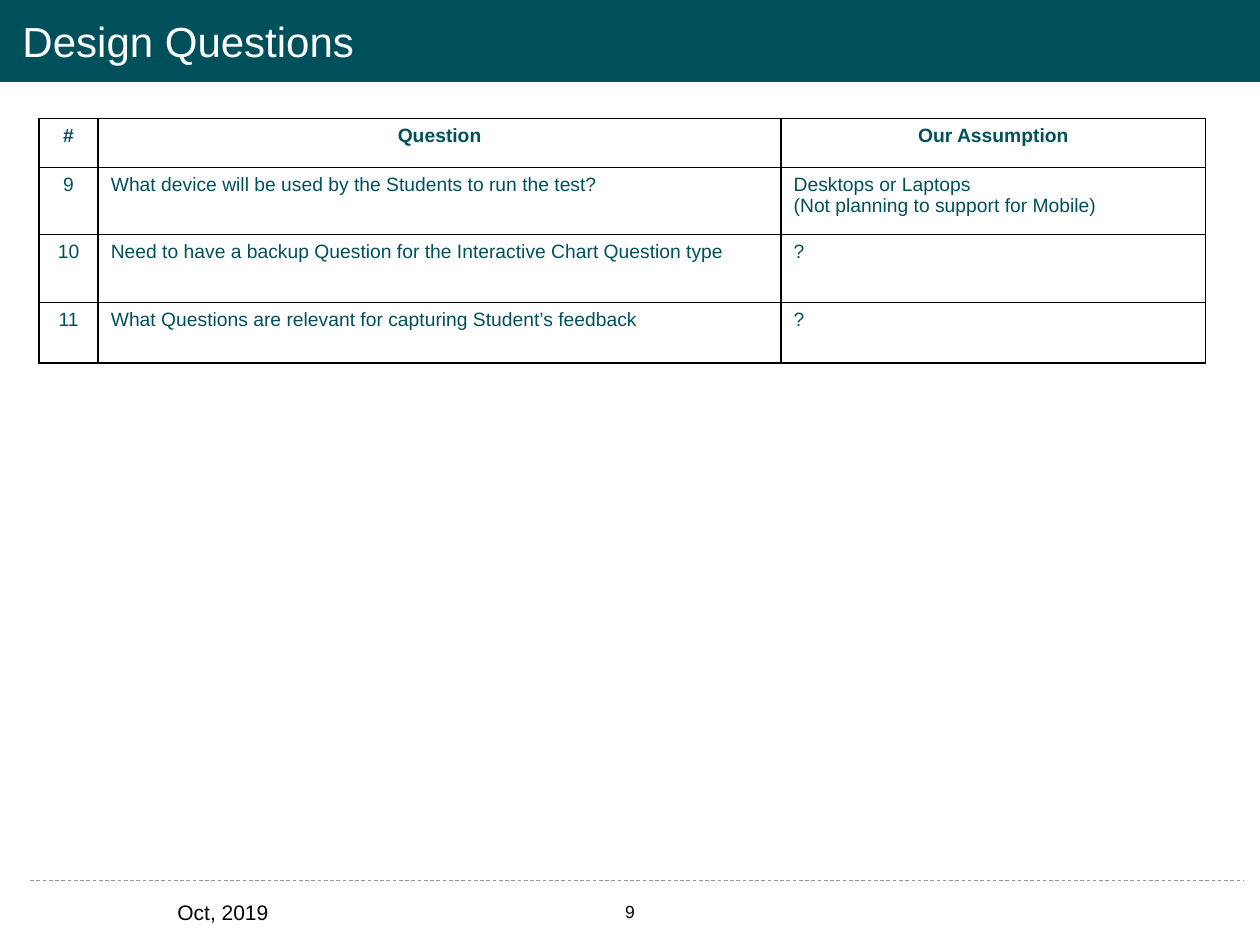
from lxml.etree import SubElement
from pptx import Presentation
from pptx.dml.color import RGBColor
from pptx.enum.dml import MSO_LINE
from pptx.enum.shapes import MSO_CONNECTOR, MSO_SHAPE
from pptx.enum.text import MSO_ANCHOR, PP_ALIGN
from pptx.oxml.ns import qn
from pptx.util import Inches, Pt

# Content
TITLE = "Design Questions"
DATE = "Oct, 2019"
PAGE_NUMBER = "9"
ROWS = [
    ("#", "Question", "Our Assumption"),
    ("9", "What device will be used by the Students to run the test?",
     "Desktops or Laptops\n(Not planning to support for Mobile)"),
    ("10", "Need to have a backup Question for the Interactive Chart Question type", "?"),
    ("11", "What Questions are relevant for capturing Student’s feedback", "?"),
]

# Style and grid, in inches
COLORS = {"teal": "00505C", "black": "000000", "white": "FFFFFF", "gray": "969696"}
FONT = "Arial"
WIDTH, HEIGHT = 10, 7.5
TABLE_LEFT, TABLE_TOP = 0.31, 0.94
COLUMN_WIDTHS = [0.47, 5.42, 3.37]
ROW_HEIGHTS = [0.39, 0.53, 0.54, 0.48]


def color(name):
    return RGBColor.from_string(COLORS[name])


def style(paragraph, size, color_name, bold=False, align=PP_ALIGN.LEFT):
    paragraph.alignment = align
    font = paragraph.font
    font.name, font.size, font.bold = FONT, Pt(size), bold
    font.color.rgb = color(color_name)


def add_text(page, text, area, size, color_name, anchor=MSO_ANCHOR.MIDDLE,
             align=PP_ALIGN.LEFT):
    box = page.shapes.add_textbox(*map(Inches, area))
    frame = box.text_frame
    frame.word_wrap = True
    frame.vertical_anchor = anchor
    frame.text = text
    style(frame.paragraphs[0], size, color_name, align=align)
    return frame


def add_borders(cell):
    properties = cell._tc.get_or_add_tcPr()
    for position, side in enumerate(("lnL", "lnR", "lnT", "lnB")):
        line = properties.makeelement(qn(f"a:{side}"), {"w": str(Pt(1))})
        fill = SubElement(line, qn("a:solidFill"))
        SubElement(fill, qn("a:srgbClr"), val=COLORS["black"])
        properties.insert(position, line)


def add_frame(page):
    # Header band
    band = page.shapes.add_shape(MSO_SHAPE.RECTANGLE, 0, 0, Inches(WIDTH), Inches(0.65))
    band.shadow.inherit = False
    band.fill.solid()
    band.fill.fore_color.rgb = color("teal")
    band.line.fill.background()

    # Footer rule
    rule = page.shapes.add_connector(
        MSO_CONNECTOR.STRAIGHT, *map(Inches, (0.24, 6.99, 9.87, 6.99)))
    rule.line.color.rgb = color("gray")
    rule.line.width = Pt(0.5)
    rule.line.dash_style = MSO_LINE.DASH
    SubElement(rule._element.spPr, qn("a:effectLst"))

    # Footer texts
    number = add_text(page, PAGE_NUMBER, (3.72, 7.07, 2.56, 0.37), 10, "black",
                      MSO_ANCHOR.TOP, PP_ALIGN.CENTER)
    number.margin_top = number.margin_bottom = Inches(0.1)
    date = add_text(page, DATE, (1.31, 6.95, 2.25, 0.61), 12, "black").paragraphs[0]
    date.line_spacing, date.space_before = 0.9, Pt(7.5)

    # Title
    title = add_text(page, TITLE, (0.08, 0.02, 9.48, 0.65), 24, "white").paragraphs[0]
    title.line_spacing, title.space_before, title.space_after = 0.9, Pt(3), Pt(6)


def add_questions(page):
    table = page.shapes.add_table(
        len(ROWS), len(COLUMN_WIDTHS), Inches(TABLE_LEFT), Inches(TABLE_TOP),
        Inches(sum(COLUMN_WIDTHS)), Inches(sum(ROW_HEIGHTS))).table
    table.horz_banding = False
    for column, width in zip(table.columns, COLUMN_WIDTHS):
        column.width = Inches(width)
    for row, height, texts in zip(table.rows, ROW_HEIGHTS, ROWS):
        row.height = Inches(height)
        header = texts is ROWS[0]
        for index, (cell, text) in enumerate(zip(row.cells, texts)):
            cell.text = text
            cell.fill.background()
            add_borders(cell)
            align = PP_ALIGN.CENTER if header or index == 0 else PP_ALIGN.LEFT
            for paragraph in cell.text_frame.paragraphs:
                style(paragraph, 11, "teal", header, align)


def main():
    deck = Presentation()
    deck.slide_width, deck.slide_height = Inches(WIDTH), Inches(HEIGHT)
    page = deck.slides.add_slide(deck.slide_layouts[6])
    add_frame(page)
    add_questions(page)
    deck.save("out.pptx")


if __name__ == "__main__":
    main()
